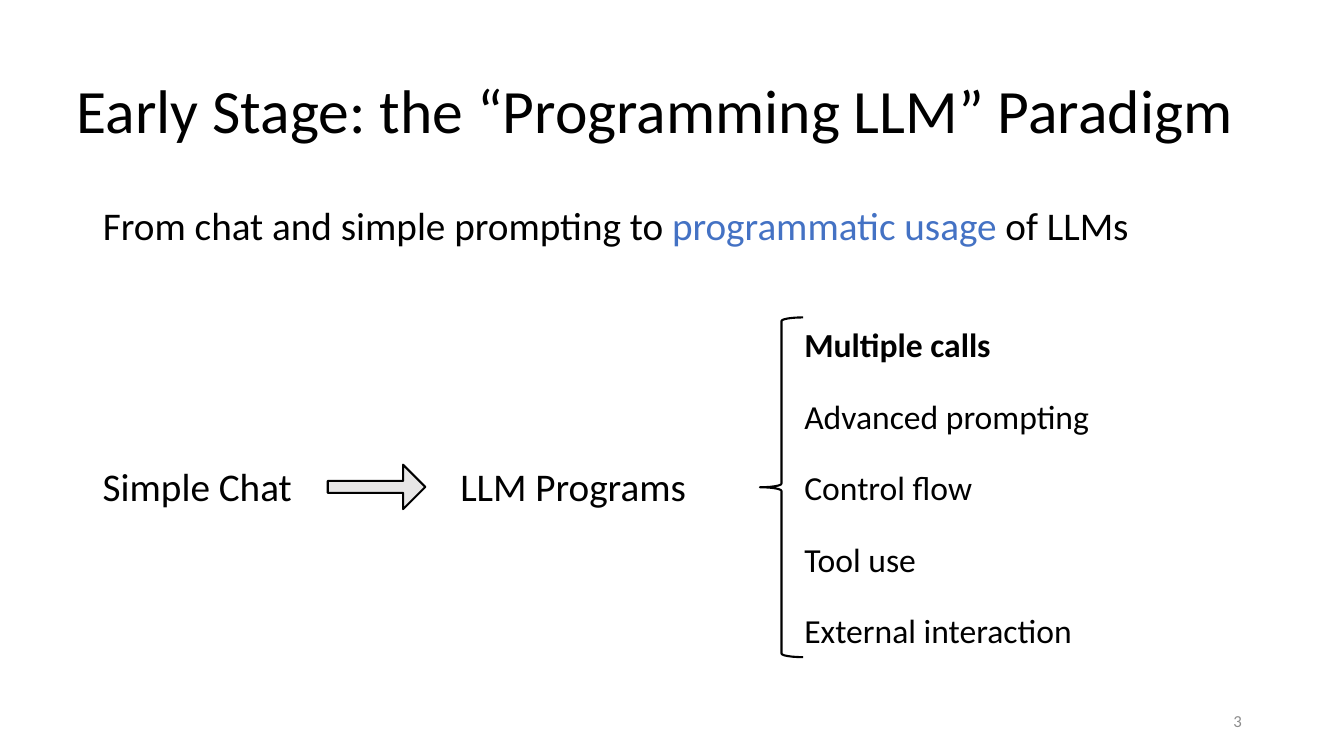
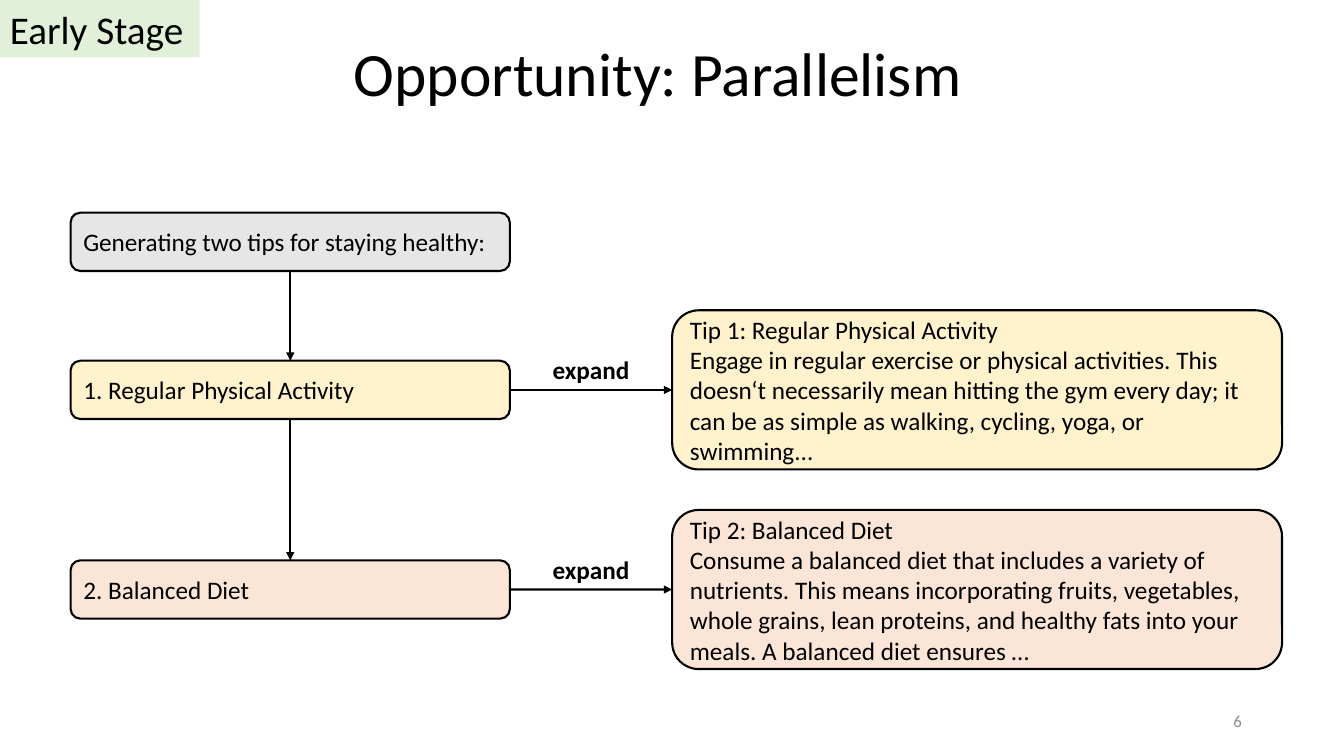
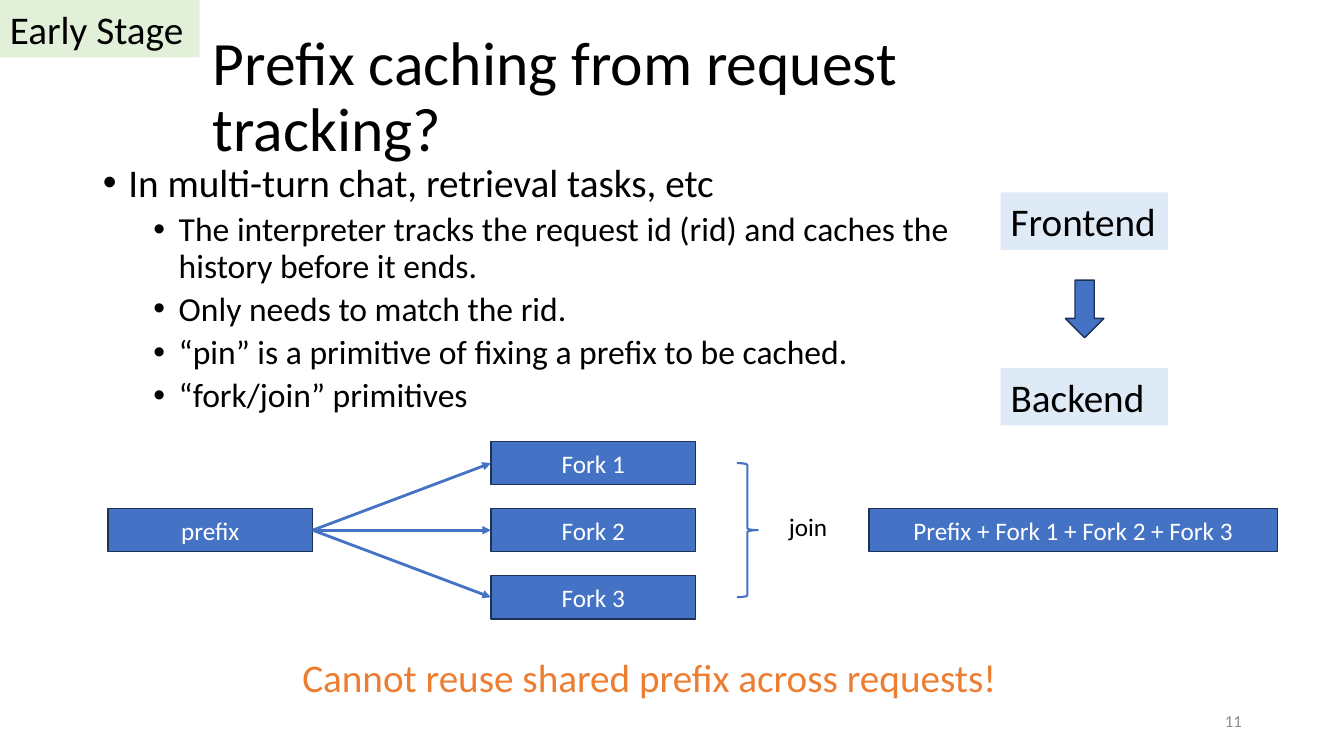
import dataclasses

import lxml.etree
import pptx
import pptx.dml.color
import pptx.enum.shapes
import pptx.enum.text
import pptx.oxml.ns
import pptx.util

Cm = pptx.util.Cm
Pt = pptx.util.Pt
SHAPE = pptx.enum.shapes.MSO_SHAPE
ALIGN = pptx.enum.text.PP_ALIGN
ANCHOR = pptx.enum.text.MSO_ANCHOR
TOP, LEFT, BOTTOM, RIGHT = range(4)  # connection sites of a box


# Theme
@dataclasses.dataclass(frozen=True)
class Theme:
    font: str = "Calibri"
    ink: str = "000000"
    white: str = "FFFFFF"
    muted: str = "8C8C8C"
    blue: str = "4472C4"
    navy: str = "1E3256"
    orange: str = "ED7D31"
    grey: str = "E7E6E6"
    yellow: str = "FFF2CC"
    peach: str = "FBE5D6"
    green: str = "E2F0D9"
    pale_blue: str = "DEEBF7"
    title: int = 44
    lead: int = 28
    item: int = 24
    note: int = 18
    number: int = 12


THEME = Theme()

# Content
PARADIGM_TITLE = "Early Stage: the “Programming LLM” Paradigm"
PARADIGM_LEAD = [
    ("From chat and simple prompting to ", THEME.ink),
    ("programmatic usage ", THEME.blue),
    ("of LLMs", THEME.ink),
]
FEATURES = ["Multiple calls", "Advanced prompting", "Control flow", "Tool use",
            "External interaction"]

STAGE = "Early Stage"
PARALLEL_TITLE = "Opportunity: Parallelism"
# step, top in cm, fill, expanded tip
STEPS = [
    ("Generating two tips for staying healthy:", 5.36, THEME.grey, None),
    ("1. Regular Physical Activity", 9.09, THEME.yellow,
     "Tip 1: Regular Physical Activity\n"
     "Engage in regular exercise or physical activities. This doesn‘t necessarily mean "
     "hitting the gym every day; it can be as simple as walking, cycling, yoga, or "
     "swimming..."),
    ("2. Balanced Diet", 14.12, THEME.peach,
     "Tip 2: Balanced Diet\n"
     "Consume a balanced diet that includes a variety of nutrients. This means "
     "incorporating fruits, vegetables, whole grains, lean proteins, and healthy fats "
     "into your meals. A balanced diet ensures …"),
]

CACHING_TITLE = "Prefix caching from request tracking?"
CACHING_POINTS = [
    (0, "In multi-turn chat, retrieval tasks, etc"),
    (1, "The interpreter tracks the request id (rid) and caches the history before it ends."),
    (1, "Only needs to match the rid."),
    (1, "“pin” is a primitive of fixing a prefix to be cached."),
    (1, "“fork/join” primitives"),
]
LAYERS = [("Frontend", 4.85), ("Backend", 9.27)]
FORKS = ["Fork 1", "Fork 2", "Fork 3"]
CONCLUSION = "Cannot reuse shared prefix across requests!"


# Helpers
def rgb(color):
    return pptx.dml.color.RGBColor.from_string(color)


def style(paragraph, size, color=THEME.ink, bold=False, align=ALIGN.LEFT):
    paragraph.alignment = align
    font = paragraph.font
    font.name, font.size, font.bold = THEME.font, Pt(size), bold
    font.color.rgb = rgb(color)


def write(frame, text, size, **look):
    frame.word_wrap = True
    frame.text = text
    for paragraph in frame.paragraphs:
        style(paragraph, size, **look)


def place(shape, *area):
    shape.left, shape.top, shape.width, shape.height = map(Cm, area)


def label(slide, area, text, size, anchor=ANCHOR.TOP, **look):
    frame = slide.shapes.add_textbox(*map(Cm, area)).text_frame
    frame.vertical_anchor = anchor
    write(frame, text, size, **look)


def box(slide, kind, area, fill=None, line=None, width=1.5):
    shape = slide.shapes.add_shape(kind, *map(Cm, area))
    shape.shadow.inherit = False
    if fill:
        shape.fill.solid()
        shape.fill.fore_color.rgb = rgb(fill)
    else:
        shape.fill.background()
    if line:
        shape.line.color.rgb = rgb(line)
        shape.line.width = Pt(width)
    else:
        shape.line.fill.background()
    return shape


def panel(slide, area, text, fill):
    shape = box(slide, SHAPE.RECTANGLE, area, fill)
    write(shape.text_frame, text, THEME.lead)


def card(slide, area, text, fill):
    shape = box(slide, SHAPE.ROUNDED_RECTANGLE, area, fill, THEME.ink)
    write(shape.text_frame, text, THEME.note)
    return shape


def block(slide, area, text):
    shape = box(slide, SHAPE.RECTANGLE, area, THEME.blue, THEME.navy, 1)
    write(shape.text_frame, text, THEME.note, color=THEME.white, align=ALIGN.CENTER)
    return shape


def arrow(slide, start, start_site, end, end_site, color, width):
    link = slide.shapes.add_connector(pptx.enum.shapes.MSO_CONNECTOR.STRAIGHT, 0, 0, 0, 0)
    link.begin_connect(start, start_site)
    link.end_connect(end, end_site)
    link.line.color.rgb = rgb(color)
    link.line.width = Pt(width)
    qn = pptx.oxml.ns.qn
    lxml.etree.SubElement(link.line._get_or_add_ln(), qn("a:tailEnd"), type="triangle")
    lxml.etree.SubElement(link._element.spPr, qn("a:effectLst"))


def set_bullet(paragraph, mark=None, left=0, hang=0):
    props = paragraph._p.get_or_add_pPr()
    props.set("marL", str(Cm(left)))
    props.set("indent", str(-Cm(hang)))
    tag = pptx.oxml.ns.qn("a:buChar" if mark else "a:buNone")
    bullet = lxml.etree.SubElement(props, tag)
    if mark:
        bullet.set("char", mark)


def new_slide(deck, layout, title, title_area, number, tagged=True):
    slide = deck.slides.add_slide(deck.slide_layouts[layout])
    heading = slide.shapes.title
    place(heading, *title_area)
    frame = heading.text_frame
    frame.auto_size = pptx.enum.text.MSO_AUTO_SIZE.NONE
    frame.vertical_anchor = ANCHOR.MIDDLE
    write(frame, title, THEME.title)
    frame.paragraphs[0].line_spacing = 0.9
    if tagged:
        panel(slide, (0, 0, 5.03, 1.45), STAGE, THEME.green)
    label(slide, (23.93, 17.65, 7.62, 1.02), str(number), THEME.number, ANCHOR.MIDDLE,
          color=THEME.muted, align=ALIGN.RIGHT)
    return slide


def body_frame(slide, area):
    body = slide.placeholders[1]
    place(body, *area)
    body.text_frame.auto_size = pptx.enum.text.MSO_AUTO_SIZE.NONE
    return body.text_frame


# Slides
def paradigm_slide(deck):
    slide = new_slide(deck, 1, PARADIGM_TITLE, (1.68, 1.02, 30.63, 3.68), 3, tagged=False)
    lead = body_frame(slide, (2.34, 5.08, 29.21, 12.09)).paragraphs[0]
    set_bullet(lead)
    lead.line_spacing, lead.space_before = 0.9, Pt(0)
    style(lead, THEME.lead)
    for text, color in PARADIGM_LEAD:
        run = lead.add_run()
        run.text = text
        run.font.color.rgb = rgb(color)

    # From chat to programs
    label(slide, (2.34, 11.53, 5.6, 1.45), "Simple Chat", THEME.lead)
    step = box(slide, SHAPE.RIGHT_ARROW, (8.26, 11.71, 2.46, 1.12), THEME.grey, THEME.ink)
    step.adjustments[0] = 0.27
    label(slide, (11.35, 11.53, 6.6, 1.45), "LLM Programs", THEME.lead)

    # Features of programs
    for row, feature in enumerate(FEATURES):
        label(slide, (20.02, 8.05 + 1.8 * row, 9, 1.27), feature, THEME.item, bold=row == 0)
    box(slide, SHAPE.LEFT_BRACE, (19.15, 8, 1.09, 8.56), line=THEME.ink)


def parallel_slide(deck):
    slide = new_slide(deck, 5, PARALLEL_TITLE, (8.66, 0.1, 16.54, 3.68), 6)
    step_left, step_width, step_height = 1.78, 11.07, 1.47
    tip_left, tip_width, tip_height = 16.94, 15.37, 4.01
    step_right = step_left + step_width
    previous = None
    for text, top, fill, tip in STEPS:
        step = card(slide, (step_left, top, step_width, step_height), text, fill)
        if previous:
            arrow(slide, previous, BOTTOM, step, TOP, THEME.ink, 1.5)
        if tip:
            middle = top + step_height / 2
            detail = card(slide, (tip_left, middle - tip_height / 2, tip_width, tip_height),
                          tip, fill)
            arrow(slide, step, RIGHT, detail, LEFT, THEME.ink, 1.5)
            label(slide, (step_right, middle - 1.02, tip_left - step_right, 1.02), "expand",
                  THEME.note, bold=True, align=ALIGN.CENTER)
        previous = step


def caching_slide(deck):
    slide = new_slide(deck, 1, CACHING_TITLE, (5.11, 0.64, 23.6, 3.68), 11)
    frame = body_frame(slide, (2.34, 3.99, 23.65, 12.95))
    for index, (level, text) in enumerate(CACHING_POINTS):
        point = frame.add_paragraph() if index else frame.paragraphs[0]
        point.text, point.level = text, level
        set_bullet(point, "•", 0.64 + 1.27 * level, 0.64)
        point.line_spacing, point.space_before = 0.9, Pt(5 if index else 0)
        style(point, THEME.item if level else THEME.lead)

    # Frontend to backend
    for text, top in LAYERS:
        panel(slide, (25.22, top, 4.22, 1.45), text, THEME.pale_blue)
    box(slide, SHAPE.DOWN_ARROW, (26.85, 7.06, 0.97, 1.45), THEME.blue, THEME.navy, 1)

    # Fork and join
    middle, pitch, width, height = 13.36, 1.69, 5.16, 1.09
    row_top = middle - height / 2
    prefix = block(slide, (2.72, row_top, width, height), "prefix")
    for row, text in enumerate(FORKS, start=-1):
        fork = block(slide, (12.37, row_top + pitch * row, width, height), text)
        arrow(slide, prefix, RIGHT, fork, LEFT, THEME.blue, 2)
    box(slide, SHAPE.RIGHT_BRACE, (18.57, middle - pitch, 0.53, 2 * pitch), line=THEME.blue)
    label(slide, (19.63, 12.75, 2.08, 1.02), "join", THEME.note)
    block(slide, (21.9, row_top, 10.29, height), "Prefix + " + " + ".join(FORKS))

    label(slide, (7.37, 16.33, 18.82, 1.45), CONCLUSION, THEME.lead, color=THEME.orange)


def main():
    deck = pptx.Presentation()
    deck.slide_width, deck.slide_height = Cm(33.87), Cm(19.05)
    paradigm_slide(deck)
    parallel_slide(deck)
    caching_slide(deck)
    deck.save("out.pptx")


if __name__ == "__main__":
    main()
